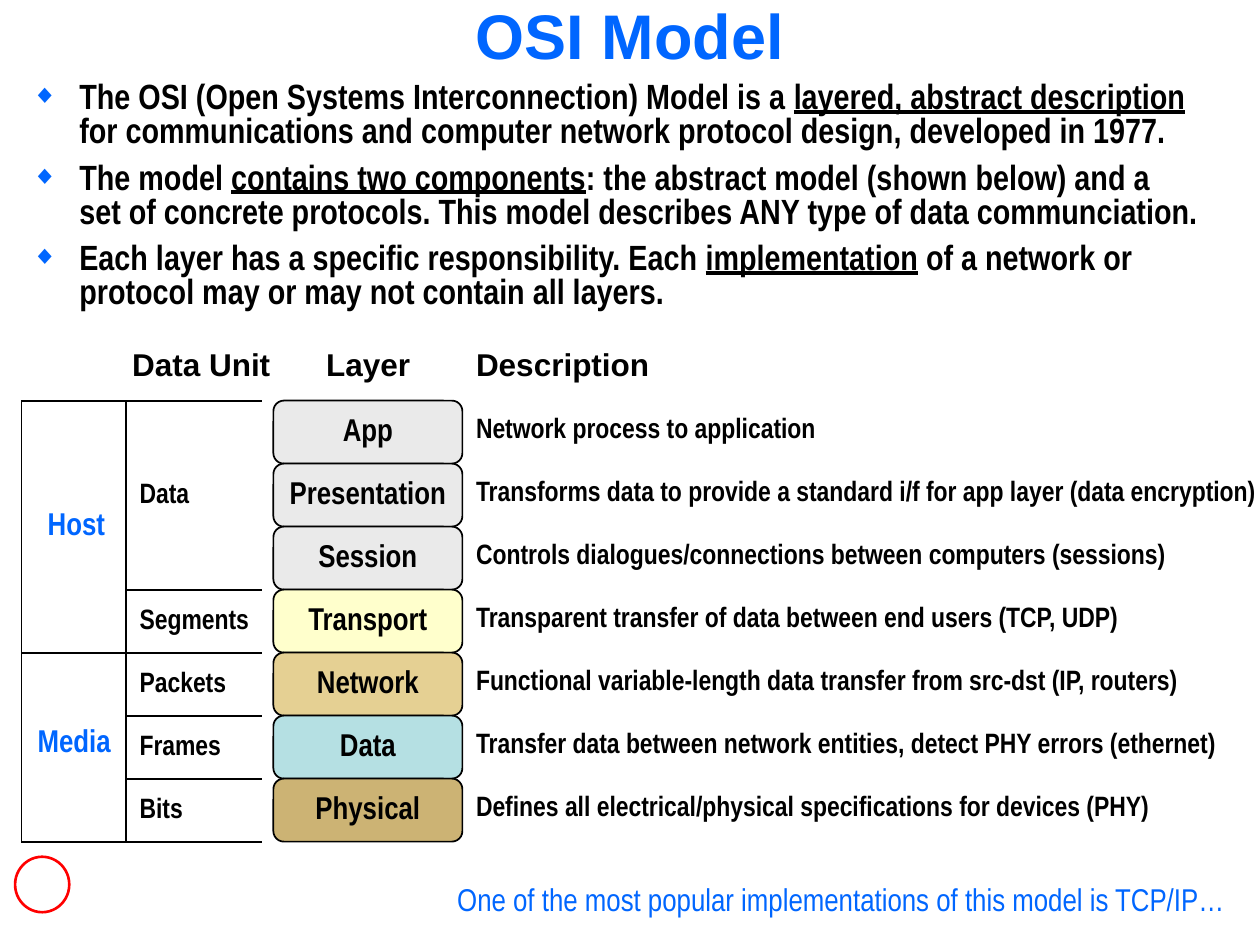
import lxml.etree
import pptx
import pptx.dml.color
import pptx.enum.shapes
import pptx.enum.text
import pptx.oxml.ns
import pptx.util

Inches = pptx.util.Inches
Pt = pptx.util.Pt
PP_ALIGN = pptx.enum.text.PP_ALIGN
ANCHOR = pptx.enum.text.MSO_ANCHOR
AUTO_SIZE = pptx.enum.text.MSO_AUTO_SIZE
SHAPE = pptx.enum.shapes.MSO_SHAPE

BLUE, BLACK, GREY = "0066FF", "000000", "EAEAEA"
ROW_HEIGHT = 0.5

POINTS = [
    [("The OSI (Open Systems Interconnection) Model is a ", False),
     ("layered, abstract description\n", True),
     ("for communications and computer network protocol design, developed in 1977.", False)],
    [("The model ", False), ("contains two components", True),
     (": the abstract model (shown below) and a\n"
      "set of concrete protocols. This model describes ANY type of data communciation.", False)],
    [("Each layer has a specific responsibility. Each ", False), ("implementation", True),
     (" of a network or\nprotocol may or may not contain all layers.", False)],
]
LAYERS = [
    ("App", GREY, "Network process to application", 3.0),
    ("Presentation", GREY,
     "Transforms data to provide a standard i/f for app layer (data encryption)", 6.5),
    ("Session", GREY, "Controls dialogues/connections between computers (sessions)", 5.72),
    ("Transport", "FFFFCC", "Transparent transfer of data between end users (TCP, UDP)", 5.38),
    ("Network", "E5D093",
     "Functional variable-length data transfer from src-dst (IP, routers)", 5.84),
    ("Data", "B5E0E3",
     "Transfer data between network entities, detect PHY errors (ethernet)", 6.14),
    ("Physical", "CCB374",
     "Defines all electrical/physical specifications for devices (PHY)", 5.6),
]
HEADINGS = [("Data Unit", 0.95, 1.35), ("Layer", 2.49, 0.92), ("Description", 3.68, 1.63)]
DATA_UNITS = [("Data", 1, 0.65), ("Segments", 3, 1.12), ("Packets", 4, 0.94),
              ("Frames", 5, 0.9), ("Bits", 6, 0.6)]
GROUPS = [("Host", 0.11, 0.83, 0.71), ("Media", 0.03, 2.55, 0.83)]
RULES = [(0, 0), (0.83, 3), (0, 4), (0.83, 5), (0.83, 6), (0, 7)]


def rgb(color):
    """Turn a hex string into a colour."""
    return pptx.dml.color.RGBColor.from_string(color)


def set_font(paragraph, size, color=BLACK, name="Arial Narrow", bold=True):
    """Set the line spacing and the font of a paragraph."""
    paragraph.line_spacing = 0.8
    font = paragraph.font
    font.name, font.size, font.bold = name, Pt(size), bold
    font.color.rgb = rgb(color)


def place(shape, left, top, width, height):
    """Move a shape to a box given in inches."""
    shape.left, shape.top = Inches(left), Inches(top)
    shape.width, shape.height = Inches(width), Inches(height)


def add_label(slide, text, left, top, width, size=18, **style):
    """Add one line of text that does not wrap."""
    height = 0.34 if size == 18 else 0.32
    label = slide.shapes.add_textbox(Inches(left), Inches(top), Inches(width), Inches(height))
    frame = label.text_frame
    frame.word_wrap = False
    frame.auto_size = AUTO_SIZE.SHAPE_TO_FIT_TEXT
    frame.text = text
    set_font(frame.paragraphs[0], size, **style)


def add_rule(slide, x1, y1, x2, y2):
    """Add a thin black straight line."""
    rule = slide.shapes.add_connector(
        pptx.enum.shapes.MSO_CONNECTOR.STRAIGHT, Inches(x1), Inches(y1), Inches(x2), Inches(y2))
    rule.line.color.rgb = rgb(BLACK)
    rule.line.width = Pt(1)
    lxml.etree.SubElement(rule._element.spPr, pptx.oxml.ns.qn("a:effectLst"))


def add_bullet(paragraph):
    """Give a paragraph a hanging blue diamond bullet."""
    properties = paragraph._p.get_or_add_pPr()
    properties.set("marL", str(Inches(0.38)))
    properties.set("indent", str(-Inches(0.38)))
    qn = pptx.oxml.ns.qn
    bullet_color = lxml.etree.SubElement(properties, qn("a:buClr"))
    lxml.etree.SubElement(bullet_color, qn("a:srgbClr"), val=BLUE)
    lxml.etree.SubElement(properties, qn("a:buSzPct"), val="75000")
    lxml.etree.SubElement(properties, qn("a:buFont"), typeface="Arial")
    lxml.etree.SubElement(properties, qn("a:buChar"), char="◆")


def fill_title(title, left, top, width, height):
    """Place and format the slide title."""
    place(title, left, top, width, height)
    frame = title.text_frame
    frame.text = "OSI Model"
    frame.vertical_anchor = ANCHOR.TOP
    frame.auto_size = AUTO_SIZE.NONE
    frame.margin_left = frame.margin_right = Inches(0.05)
    paragraph = frame.paragraphs[0]
    set_font(paragraph, 36, BLUE, "Arial")
    paragraph.line_spacing = 0.75
    paragraph.alignment = PP_ALIGN.CENTER


def fill_points(body, left, top, width, height):
    """Place the bulleted introduction."""
    place(body, left, top, width, height)
    frame = body.text_frame
    frame.word_wrap = False
    frame.auto_size = AUTO_SIZE.SHAPE_TO_FIT_TEXT
    frame.vertical_anchor = ANCHOR.MIDDLE
    for index, point in enumerate(POINTS):
        paragraph = frame.add_paragraph() if index else frame.paragraphs[0]
        add_bullet(paragraph)
        set_font(paragraph, 20)
        paragraph.space_before, paragraph.space_after = Pt(0), Pt(7.5)
        for text, underlined in point:
            for number, line in enumerate(text.split("\n")):
                if number:
                    paragraph.add_line_break()
                if line:
                    run = paragraph.add_run()
                    run.text = line
                    if underlined:
                        run.font.underline = True


def add_layers(slide, left, top, width):
    """Stack the layer boxes with their descriptions on the right."""
    for row, (name, color, description, text_width) in enumerate(LAYERS):
        y = top + row * ROW_HEIGHT
        layer = slide.shapes.add_shape(SHAPE.ROUNDED_RECTANGLE, Inches(left), Inches(y),
                                       Inches(width), Inches(ROW_HEIGHT))
        layer.shadow.inherit = False
        layer.fill.solid()
        layer.fill.fore_color.rgb = rgb(color)
        layer.line.color.rgb = rgb(BLACK)
        layer.line.width = Pt(1)
        frame = layer.text_frame
        frame.word_wrap = False
        frame.vertical_anchor = ANCHOR.MIDDLE
        frame.text = name
        set_font(frame.paragraphs[0], 18)
        frame.paragraphs[0].alignment = PP_ALIGN.CENTER
        add_label(slide, description, left + width + 0.01, y + 0.08, text_width, 16)


def add_units(slide, left, top, width):
    """Draw the open grid of host and media data units."""
    for offset, row in RULES:
        y = top + row * ROW_HEIGHT
        add_rule(slide, left + offset, y, left + width, y)
    for offset in (0, 0.83):
        add_rule(slide, left + offset, top, left + offset, top + len(LAYERS) * ROW_HEIGHT)
    for name, x, y, text_width in GROUPS:
        add_label(slide, name, left + x, top + y, text_width, color=BLUE)
    for name, row, text_width in DATA_UNITS:
        add_label(slide, name, left + 0.84, top + row * ROW_HEIGHT + 0.1, text_width, 16)


def add_emblem(slide, left, top, width, height):
    """Put a plain ring in the corner."""
    ring = slide.shapes.add_shape(SHAPE.OVAL, Inches(left), Inches(top),
                                  Inches(width), Inches(height))
    ring.shadow.inherit = False
    ring.fill.solid()
    ring.fill.fore_color.rgb = rgb("FFFFFF")
    ring.line.color.rgb = rgb("FF0000")
    ring.line.width = Pt(1.5)


def main():
    """Build the slide and save it."""
    deck = pptx.Presentation()
    deck.slide_width, deck.slide_height = Inches(10), Inches(7.5)
    slide = deck.slides.add_slide(deck.slide_layouts[1])
    fill_title(slide.shapes.title, 0, 0.06, 10, 0.67)
    fill_points(slide.placeholders[1], 0.15, 0.61, 9.46, 1.91)
    for heading, left, width in HEADINGS:
        add_label(slide, heading, left, 2.75, width, name="Arial")
    add_layers(slide, 2.17, 3.18, 1.5)
    add_units(slide, 0.17, 3.18, 1.91)
    add_label(slide, "One of the most popular implementations of this model is TCP/IP…",
              3.53, 6.99, 6.35, color=BLUE, bold=False)
    add_emblem(slide, 0.12, 6.8, 0.43, 0.44)
    deck.save("out.pptx")


if __name__ == "__main__":
    main()
